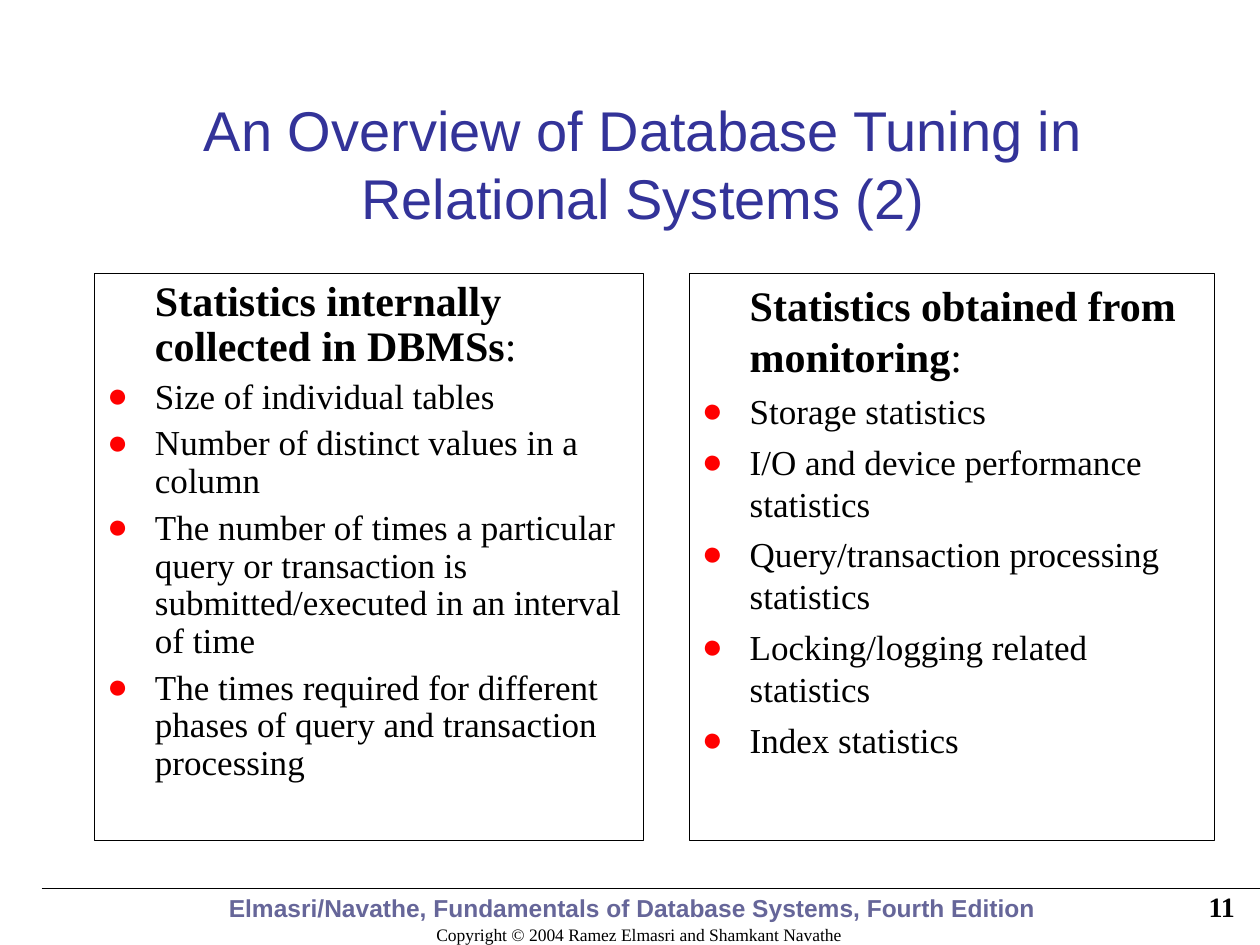
"""Build a slide that sets two lists of database statistics side by side."""
from dataclasses import dataclass

from lxml import etree
from pptx import Presentation
from pptx.dml.color import RGBColor
from pptx.enum.text import MSO_ANCHOR, MSO_AUTO_SIZE, PP_ALIGN
from pptx.enum.shapes import MSO_CONNECTOR
from pptx.oxml.ns import qn
from pptx.util import Inches, Pt

CENTER, RIGHT = PP_ALIGN.CENTER, PP_ALIGN.RIGHT
MIDDLE, BOTTOM, TOP = MSO_ANCHOR.MIDDLE, MSO_ANCHOR.BOTTOM, MSO_ANCHOR.TOP
FIXED, STRAIGHT = MSO_AUTO_SIZE.NONE, MSO_CONNECTOR.STRAIGHT
COLORS = {"ink": "000000", "title": "333399", "book": "666699", "dot": "FF0000"}
SANS, SERIF = "Arial", "Times New Roman"
COLS, ROWS = 100, 75
WIDE, HIGH = Inches(10), Inches(7.5)
INDENT = Inches(0.38)


@dataclass(frozen=True)
class Box:
    """A place on the slide grid, in columns and rows."""
    col: float
    row: float
    cols: float
    rows: float


@dataclass(frozen=True)
class Style:
    """The look of a run."""
    size: int
    font: str = SERIF
    color: str = "ink"
    bold: bool = False


@dataclass(frozen=True)
class Label:
    """A single line of text with its place and look."""
    text: str
    box: Box
    style: Style
    align: PP_ALIGN = CENTER
    anchor: MSO_ANCHOR = BOTTOM


@dataclass(frozen=True)
class Panel:
    """A framed list under a heading."""
    box: Box
    head: str
    items: tuple[str, ...]
    pitch: float


HEAD, COLON, ITEM = Style(24, bold=True), Style(24), Style(20)
TITLE = Label("An Overview of Database Tuning in Relational Systems (2)",
              Box(9.6, 6.7, 82.9, 12.5), Style(32, SANS, "title"), anchor=MIDDLE)
FOOTER = (
    Label("Copyright © 2004 Ramez Elmasri and Shamkant Navathe",
          Box(28.5, 70.5, 44.4, 5), Style(10)),
    Label("Elmasri/Navathe, Fundamentals of Database Systems, Fourth Edition ",
          Box(9, 68.7, 82.9, 5), Style(14, SANS, "book", True)),
    Label("11", Box(78.2, 69.8, 20.8, 4.2), Style(16, bold=True), RIGHT, MIDDLE),
)
PANELS = (
    Panel(Box(7.5, 21.7, 43.6, 45), "Statistics internally collected in DBMSs", (
        "Size of individual tables",
        "Number of distinct values in a column",
        "The number of times a particular query or transaction is "
        "submitted/executed in an interval of time",
        "The times required for different phases of query and transaction processing",
    ), 0.9),
    Panel(Box(54.7, 21.7, 41.7, 45), "Statistics obtained from monitoring", (
        "Storage statistics",
        "I/O and device performance statistics",
        "Query/transaction processing statistics",
        "Locking/logging related statistics",
        "Index statistics",
    ), 1.0),
)


def across(cols: float) -> int:
    """Turn columns into a length."""
    return round(WIDE * cols / COLS)


def down(rows: float) -> int:
    """Turn rows into a length."""
    return round(HIGH * rows / ROWS)


def place(shape, box: Box) -> None:
    """Move a shape to its box."""
    shape.left, shape.top = across(box.col), down(box.row)
    shape.width, shape.height = across(box.cols), down(box.rows)


def ready(shape, anchor: MSO_ANCHOR):
    """Set up the text frame of a shape and return it."""
    frame = shape.text_frame
    frame.word_wrap, frame.auto_size = True, FIXED
    frame.vertical_anchor = anchor
    return frame


def add_run(para, text: str, style: Style) -> None:
    """Add one styled run."""
    run = para.add_run()
    run.text = text
    font = run.font
    font.size, font.name, font.bold = Pt(style.size), style.font, style.bold
    font.color.rgb = RGBColor.from_string(COLORS[style.color])


def fill_label(shape, label: Label) -> None:
    """Place a label and write its text."""
    place(shape, label.box)
    para = ready(shape, label.anchor).paragraphs[0]
    para.alignment = label.align
    add_run(para, label.text, label.style)


def set_list(para, pitch: float, dot: bool) -> None:
    """Set spacing, indent and bullet of a list line."""
    para.line_spacing = pitch
    para.space_before = Pt(5 if dot else 6)
    props = para._p.get_or_add_pPr()
    props.set("marL", str(INDENT))
    props.set("indent", str(-INDENT if dot else 0))
    if dot:
        tint = etree.SubElement(props, qn("a:buClr"))
        etree.SubElement(tint, qn("a:srgbClr"), val=COLORS["dot"])
        etree.SubElement(props, qn("a:buChar"), char="●")
    else:
        etree.SubElement(props, qn("a:buNone"))


def fill_panel(shape, panel: Panel) -> None:
    """Frame a panel and write its heading and list."""
    place(shape, panel.box)
    shape.line.color.rgb = RGBColor.from_string(COLORS["ink"])
    shape.line.width = Pt(0.75)
    frame = ready(shape, TOP)
    para = frame.paragraphs[0]
    set_list(para, panel.pitch, False)
    add_run(para, panel.head, HEAD)
    add_run(para, ":", COLON)
    for item in panel.items:
        para = frame.add_paragraph()
        set_list(para, panel.pitch, True)
        add_run(para, item, ITEM)


def add_rule(shapes, col: float, row: float) -> None:
    """Draw the footer rule out to the right edge."""
    rule = shapes.add_connector(STRAIGHT, across(col), down(row), WIDE, down(row))
    rule.line.color.rgb = RGBColor.from_string(COLORS["ink"])
    rule.line.width = Pt(0.75)
    etree.SubElement(rule._element.spPr, qn("a:effectLst"))


def main() -> None:
    """Build and save the slide."""
    deck = Presentation()
    deck.slide_width, deck.slide_height = WIDE, HIGH
    slide = deck.slides.add_slide(deck.slide_layouts[3])
    shapes = slide.shapes
    fill_label(shapes.title, TITLE)
    for spot, panel in enumerate(PANELS, 1):
        fill_panel(slide.placeholders[spot], panel)
    add_rule(shapes, 3.3, 70.5)
    for label in FOOTER:
        fill_label(shapes.add_textbox(0, 0, 0, 0), label)
    deck.save("out.pptx")


if __name__ == "__main__":
    main()
